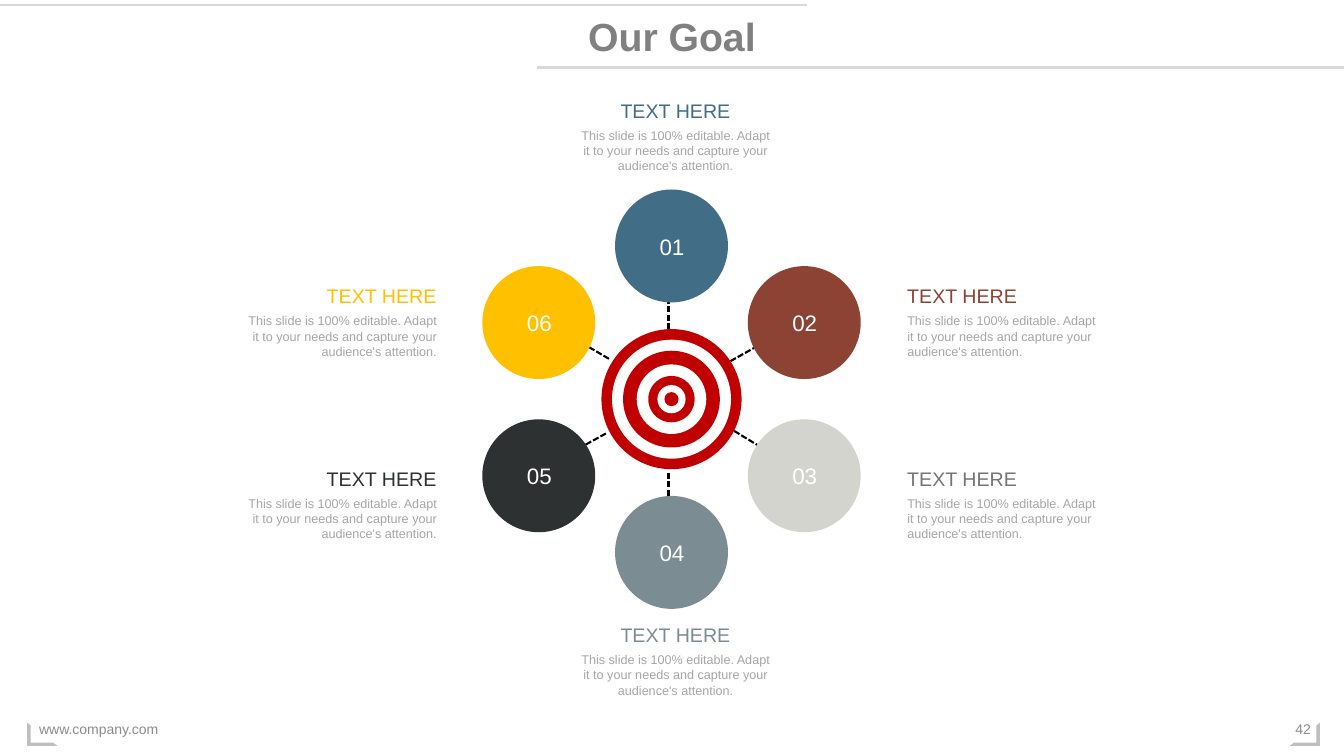
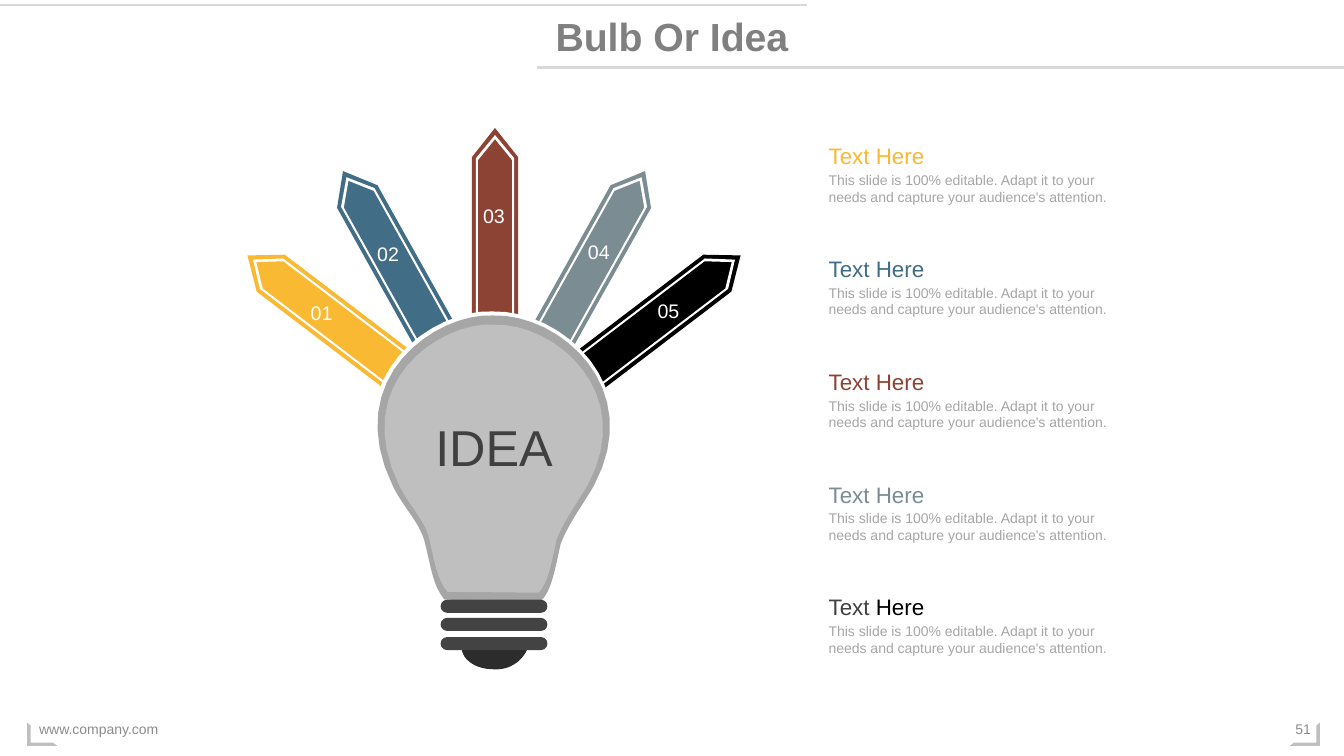
"""Build a goal wheel slide and an idea bulb slide with a shared frame."""
from math import cos, radians, sin

from lxml.etree import SubElement
from pptx import Presentation
from pptx.dml.color import RGBColor
from pptx.enum.dml import MSO_LINE
from pptx.enum.shapes import MSO_CONNECTOR, MSO_SHAPE
from pptx.enum.text import MSO_ANCHOR, PP_ALIGN
from pptx.oxml.ns import qn
from pptx.util import Pt

PX = 9144
FONT = "Arial"
BLUE, BROWN, SLATE = "416E86", "8D4334", "7B8C93"
YELLOW, AMBER, COAL = "FFC000", "F9B932", "2E3131"
RED, WHITE, BLACK = "C00000", "FFFFFF", "000000"
RULE, CORNER, FOOTER, TITLE, BODY = "D9D9D9", "BFBFBF", "8C8C8C", "808080", "A6A6A6"
LEFT, CENTER, RIGHT = PP_ALIGN.LEFT, PP_ALIGN.CENTER, PP_ALIGN.RIGHT
NOTE = "This slide is 100% editable. Adapt it to your needs and capture your audience's attention."


def text(s, box, words, size, color, align=LEFT, anchor=MSO_ANCHOR.TOP, bold=False):
    tf = s.shapes.add_textbox(*[round(v * PX) for v in box]).text_frame
    tf.word_wrap = True
    tf.vertical_anchor = anchor
    p = tf.paragraphs[0]
    p.text = words
    p.alignment = align
    p.font.name = FONT
    p.font.size = Pt(size)
    p.font.bold = bold
    p.font.color.rgb = RGBColor.from_string(color)
    return p


def shape(s, color, box=None, kind=MSO_SHAPE.OVAL, points=None):
    if points:
        emu = [(round(x * PX), round(y * PX)) for x, y in points]
        builder = s.shapes.build_freeform(*emu[0], scale=1.0)
        builder.add_line_segments(emu[1:], close=True)
        sp = builder.convert_to_shape()
    else:
        sp = s.shapes.add_shape(kind, *[round(v * PX) for v in box])
    sp.shadow.inherit = False
    sp.fill.solid()
    sp.fill.fore_color.rgb = RGBColor.from_string(color)
    sp.line.fill.background()
    return sp


prs = Presentation()
prs.slide_width, prs.slide_height = 1333 * PX, 750 * PX

rules = [(0, 5, 800, 5), (533, 67, 1333, 67)]
spokes = [
    (663, 287, 663, 336), (663, 469, 663, 503), (759, 339, 716, 363),
    (601, 430, 572, 446), (762, 448, 719, 422), (604, 356, 575, 339),
]
for title, page, dashes in [("Our Goal", "42", spokes), ("Bulb Or Idea", "51", [])]:
    s = prs.slides.add_slide(prs.slide_layouts[6])
    for ends in rules + dashes:
        c = s.shapes.add_connector(MSO_CONNECTOR.STRAIGHT, *[v * PX for v in ends])
        c.line.width = Pt(1.5)
        c.line.color.rgb = RGBColor.from_string(BLACK if ends in dashes else RULE)
        if ends in dashes:
            c.line.dash_style = MSO_LINE.SQUARE_DOT
        SubElement(c._element.spPr, qn("a:effectLst"))
    for x, flip in [(1279, "0"), (27, "1")]:
        sp = shape(s, CORNER, (x, 717, 30, 23), MSO_SHAPE.HALF_FRAME)
        sp.adjustments[0], sp.adjustments[1] = 0.14, 0.15
        sp.rotation = 180
        sp._element.spPr.xfrm.set("flipH", flip)
    text(s, (29, 703, 450, 40), "www.company.com", 10, FOOTER, anchor=MSO_ANCHOR.MIDDLE)
    text(s, (1268, 703, 42, 40), page, 10, FOOTER, RIGHT, MSO_ANCHOR.MIDDLE)
    text(s, (0, 7, 1333, 57), title, 28, TITLE, CENTER, bold=True)

goal, idea = prs.slides

inset = {LEFT: 0, CENTER: 4, RIGHT: 8}
goals = [
    (BLUE, BLUE, 560, 93, CENTER),
    (BROWN, BROWN, 890, 277, LEFT),
    ("D3D4CE", "757575", 890, 458, LEFT),
    (SLATE, SLATE, 560, 613, CENTER),
    (COAL, COAL, 223, 458, RIGHT),
    (YELLOW, YELLOW, 223, 277, RIGHT),
]
cx, cy, orbit = 666, 396, 152
for i, (fill, color, x, y, align) in enumerate(goals):
    ox = cx + orbit * sin(radians(60 * i))
    oy = cy - orbit * cos(radians(60 * i))
    shape(goal, fill, (ox - 56, oy - 56, 112, 112))
    text(goal, (ox - 43, oy - 18, 87, 37), f"{i + 1:02}", 16, WHITE, CENTER)
    text(goal, (x, y, 220, 34), "TEXT HERE", 14, color, align)
    text(goal, (x + inset[align], y + 29, 212, 56), NOTE, 9, BODY, align)

for i, d in enumerate([139, 118, 96, 69, 46, 28, 14]):
    shape(goal, WHITE if i % 2 else RED, (cx - d / 2, cy - d / 2, d, d))

arrow = [(-23, 100), (-23, -71), (0, -100), (23, -71), (23, 100)]
stripe = [
    (-19, 100), (-19, -70), (0, -93), (19, -70), (19, 100),
    (17, 100), (17, -68), (0, -89), (-17, -68), (-17, 100),
]
rays = [
    (AMBER, 325, 314, -52.7, 297, 294),
    (BLUE, 389, 257, -29.2, 363, 235),
    (BROWN, 491, 227, 0, 468, 197),
    (SLATE, 591, 257, 29.2, 572, 233),
    (BLACK, 655, 314, 52.7, 641, 292),
]
for i, (color, x, y, angle, label_x, label_y) in enumerate(rays):
    ca, sa = cos(radians(angle)), sin(radians(angle))
    for outline, fill in [(arrow, color), (stripe, WHITE)]:
        points = [(x + u * ca - v * sa, y + u * sa + v * ca) for u, v in outline]
        shape(idea, fill, points=points)
    text(idea, (label_x, label_y, 44, 34), f"{i + 1:02}", 14, WHITE, CENTER)

bulb = [
    (115, 0), (61, -3, -38, 60, 16, 170), (27, 192, 44, 207, 48, 228),
    (53, 247, 55, 268, 67, 282), (163, 283), (172, 273, 175, 260, 182, 227),
    (190, 206, 204, 188, 215, 169), (267, 72, 181, -2, 115, 0),
]
contact = [(0, 0), (65, 0), (61, 10, 49, 21, 32, 20), (13, 20, 1, 10, 0, 0)]
glass = [
    (bulb, WHITE, 370, 309, 1.03),
    (bulb, "A6A6A6", 374, 313, 1),
    (bulb, "BFBFBF", 381, 322, 0.94),
    (contact, "2C2C2C", 458, 644, 1),
]
for outline, color, left, top, scale in glass:
    points = []
    for seg in outline:
        if len(seg) == 2:
            points.append(seg)
            continue
        (x0, y0), (x1, y1, x2, y2, x3, y3) = points[-1], seg
        for t in [k / 16 for k in range(1, 17)]:
            a, b, c, d = (1 - t) ** 3, 3 * t * (1 - t) ** 2, 3 * t * t * (1 - t), t ** 3
            points.append((a * x0 + b * x1 + c * x2 + d * x3, a * y0 + b * y1 + c * y2 + d * y3))
    shape(idea, color, points=[(left + scale * x, top + scale * y) for x, y in points])

for y in (595, 613, 632):
    sp = shape(idea, "434343", (437, y, 106, 13), MSO_SHAPE.ROUNDED_RECTANGLE)
    sp.adjustments[0] = 0.5
text(idea, (419, 408, 142, 71), "IDEA", 36, "404040", CENTER)

for i, color in enumerate([AMBER, BLUE, BROWN, SLATE, "404040"]):
    y = 136 + 112 * i
    text(idea, (812, y + 29, 297, 44), NOTE, 10, BODY)
    p = text(idea, (812, y, 172, 37), "Text Here", 16, color)
p.runs[0].text = "Text"
r = p.add_run()
r.text = " Here"
r.font.color.rgb = RGBColor.from_string(BLACK)

prs.save("out.pptx")
